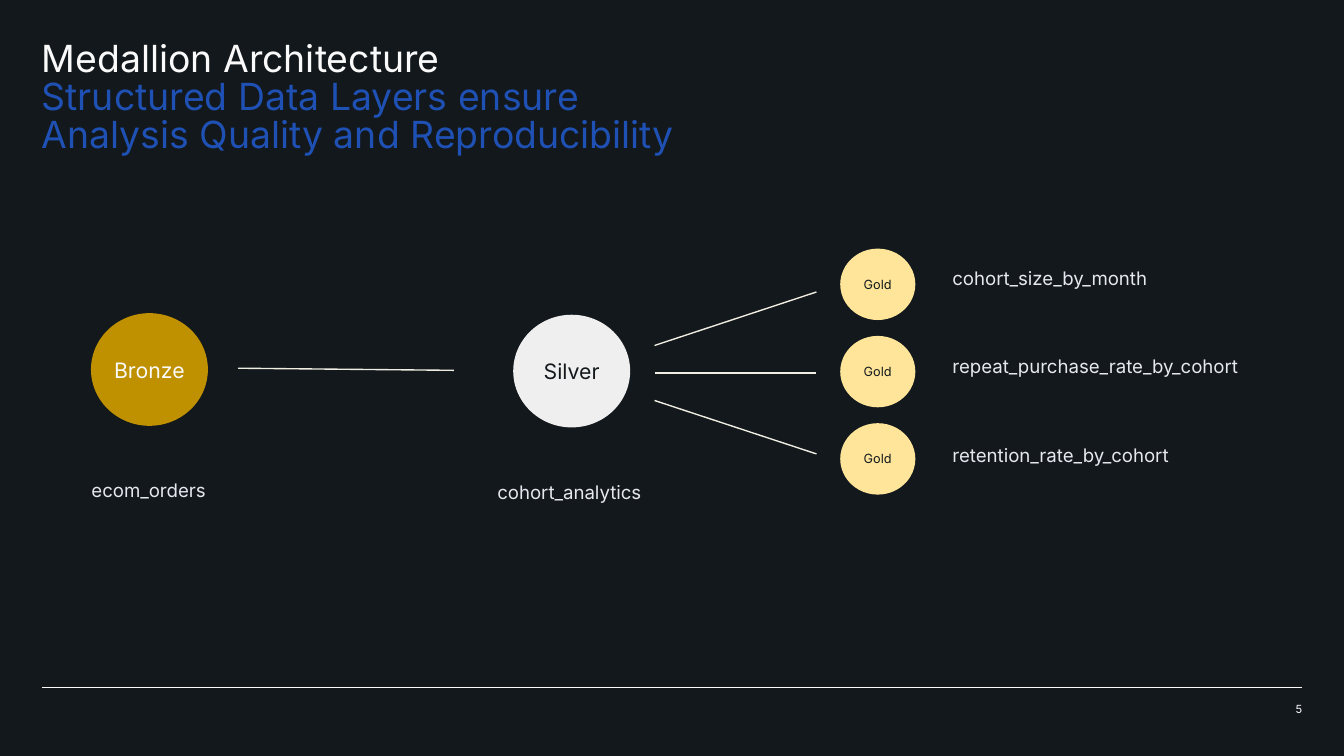
from dataclasses import dataclass
from typing import NamedTuple

from lxml.etree import SubElement
from pptx import Presentation
from pptx.dml.color import RGBColor
from pptx.enum.shapes import MSO_CONNECTOR, MSO_SHAPE
from pptx.enum.text import MSO_ANCHOR, PP_ALIGN
from pptx.oxml.ns import qn
from pptx.slide import Slide
from pptx.text.text import TextFrame
from pptx.util import Cm, Pt


@dataclass(frozen=True)
class Theme:
    font: str = "Inter"
    dark: str = "12181C"
    light: str = "FAFAFA"
    blue: str = "1F50B3"
    pale: str = "E6E8F0"
    link: str = "F0EEE2"
    bronze: str = "BF9000"
    silver: str = "EFEFEF"
    gold: str = "FFE599"
    title: float = 20
    node: float = 11.4
    label: float = 10
    small: float = 6.8
    page: float = 6
    stroke: float = 0.75


class Box(NamedTuple):
    left: float
    top: float
    width: float
    height: float


class Run(NamedTuple):
    text: str
    size: float
    color: str


class Node(NamedTuple):
    box: Box
    fill: str
    run: Run


class Label(NamedTuple):
    box: Box
    text: str


class Link(NamedTuple):
    start: tuple[float, float]
    end: tuple[float, float]
    color: str


THEME = Theme()


def write(frame: TextFrame, runs: list[Run], inset: float = 0,
          anchor: MSO_ANCHOR = MSO_ANCHOR.TOP, **style) -> None:
    sides = ("margin_left", "margin_top", "margin_right", "margin_bottom")
    layout = {"word_wrap": True, "vertical_anchor": anchor}
    layout |= {side: Cm(inset) for side in sides}
    for name, value in layout.items():
        setattr(frame, name, value)
    for index, run in enumerate(runs):
        para = frame.add_paragraph() if index else frame.paragraphs[0]
        for name, value in style.items():
            setattr(para, name, value)
        part = para.add_run()
        part.text = run.text
        look = {"name": THEME.font, "size": Pt(run.size)}
        for name, value in look.items():
            setattr(part.font, name, value)
        part.font.color.rgb = RGBColor.from_string(run.color)


def add_text(slide: Slide, box: Box, runs: list[Run], **style) -> None:
    shape = slide.shapes.add_textbox(*map(Cm, box))
    write(shape.text_frame, runs, **style)


def add_node(slide: Slide, node: Node) -> None:
    shape = slide.shapes.add_shape(MSO_SHAPE.OVAL, *map(Cm, node.box))
    shape.shadow.inherit = False
    shape.fill.solid()
    shape.fill.fore_color.rgb = RGBColor.from_string(node.fill)
    shape.line.fill.background()
    write(shape.text_frame, [node.run], anchor=MSO_ANCHOR.MIDDLE,
          alignment=PP_ALIGN.CENTER)


def add_link(slide: Slide, link: Link) -> None:
    line = slide.shapes.add_connector(
        MSO_CONNECTOR.STRAIGHT, *map(Cm, link.start + link.end))
    line.line.width = Pt(THEME.stroke)
    line.line.color.rgb = RGBColor.from_string(link.color)
    SubElement(line._element.spPr, qn("a:effectLst"))


def main() -> None:
    deck = Presentation()
    deck.slide_width, deck.slide_height = Cm(25.4), Cm(14.29)
    slide = deck.slides.add_slide(deck.slide_layouts[6])
    slide.background.fill.solid()
    slide.background.fill.fore_color.rgb = RGBColor.from_string(THEME.dark)

    add_text(slide, Box(0.79, 0.79, 23.82, 1.96), [
        Run("Medallion Architecture", THEME.title, THEME.light),
        Run("Structured Data Layers ensure", THEME.title, THEME.blue),
        Run("Analysis Quality and Reproducibility", THEME.title, THEME.blue),
    ], line_spacing=0.85)

    nodes = [
        Node(Box(1.72, 5.92, 2.21, 2.13), THEME.bronze,
             Run("Bronze", THEME.node, THEME.light)),
        Node(Box(9.7, 5.95, 2.21, 2.13), THEME.silver,
             Run("Silver", THEME.node, THEME.dark)),
    ]
    labels = [
        Label(Box(1.48, 8.84, 2.7, 1.09), "ecom_orders"),
        Label(Box(9.15, 8.87, 3.3, 1.09), "cohort_analytics"),
    ]
    tables = ("cohort_size_by_month", "repeat_purchase_rate_by_cohort",
              "retention_rate_by_cohort")
    for row, name in enumerate(tables):
        nodes.append(Node(Box(15.88, 4.7 + 1.65 * row, 1.42, 1.35),
                          THEME.gold, Run("Gold", THEME.small, THEME.dark)))
        labels.append(Label(Box(17.75, 4.83 + 1.67 * row, 6.5, 0.69), name))

    links = [
        Link((0.79, 13), (24.61, 13), THEME.light),
        Link((4.5, 6.96), (8.58, 7), THEME.link),
    ]
    for side in (-1, 0, 1):
        links.append(Link((12.37, 7.05 + 0.52 * side),
                          (15.43, 7.05 + 1.53 * side), THEME.link))

    for node in nodes:
        add_node(slide, node)
    for link in links:
        add_link(slide, link)
    for label in labels:
        add_text(slide, label.box,
                 [Run(label.text, THEME.label, THEME.pale)], inset=0.25)
    add_text(slide, Box(23.09, 13.28, 1.52, 0.2),
             [Run("5", THEME.page, THEME.light)], alignment=PP_ALIGN.RIGHT)

    deck.save("out.pptx")


if __name__ == "__main__":
    main()
